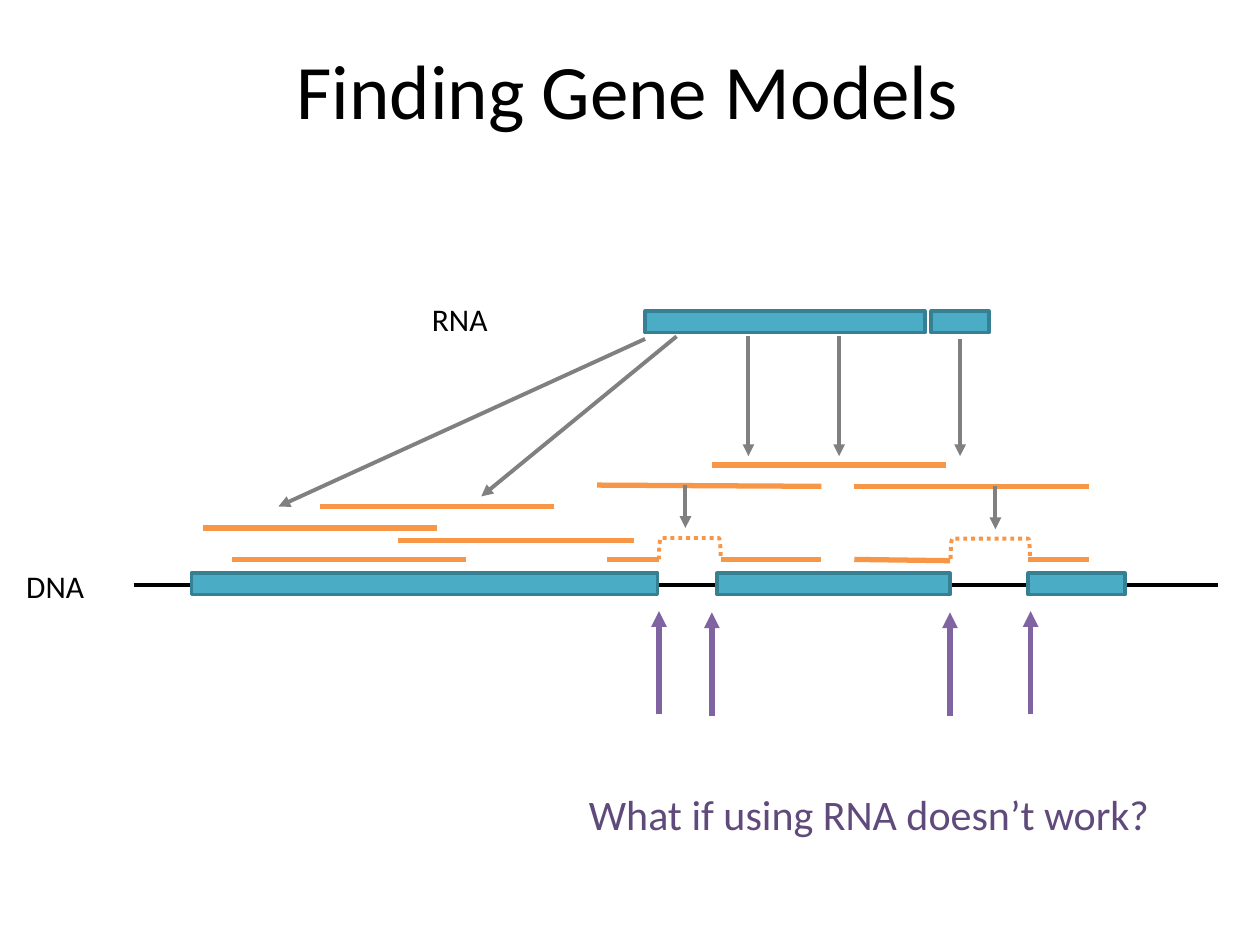
from pptx import Presentation
from pptx.dml.color import RGBColor
from pptx.enum.dml import MSO_LINE as Dash
from pptx.enum.shapes import MSO_CONNECTOR as Link, MSO_SHAPE as Shape
from pptx.enum.text import MSO_ANCHOR as Anchor, PP_ALIGN as Align
from pptx.oxml.ns import qn
from pptx.util import Inches, Pt
from lxml.etree import SubElement as Sub

hue = RGBColor.from_string
BLACK, TEAL, EDGE = "000000", "4BACC6", "377F92"
ORANGE, GRAY, PURPLE, PLUM = "F79646", "808080", "8064A2", "604A7B"

deck = Presentation()
deck.slide_width, deck.slide_height = Inches(10), Inches(7.5)
slide = deck.slides.add_slide(deck.slide_layouts[5])
shapes = slide.shapes


def draw(x1, y1, x2, y2, color, width, arrow=False):
    line = shapes.add_connector(Link.STRAIGHT, *map(Inches, (x1, y1, x2, y2)))
    line.line.color.rgb = hue(color)
    line.line.width = Pt(width)
    if arrow:
        Sub(line.line._get_or_add_ln(), qn("a:tailEnd"), type="triangle")
    Sub(line._element.spPr, qn("a:effectLst"))


def write(box, text, size, color, align):
    frame = box.text_frame
    frame.word_wrap = True
    frame.text = text
    para = frame.paragraphs[0]
    para.alignment = align
    style = {"name": "Calibri", "size": Pt(size)}
    for key, value in style.items():
        setattr(para.runs[0].font, key, value)
    para.runs[0].font.color.rgb = hue(color)


# Title
title = shapes.title
place = {"left": 0.48, "top": 0.08, "width": 9, "height": 1.25}
for key, value in place.items():
    setattr(title, key, Inches(value))
write(title, "Finding Gene Models", 44, BLACK, Align.CENTER)
title.text_frame.vertical_anchor = Anchor.MIDDLE

# DNA strand, then exons on the DNA and the RNA
draw(1.06, 4.64, 9.67, 4.64, BLACK, 2.25)
exons = [(1.52, 4.55, 3.7), (5.69, 4.55, 1.85), (8.16, 4.55, 0.77),
         (5.12, 2.47, 2.22), (7.39, 2.47, 0.46)]
for left, top, wide in exons:
    exon = shapes.add_shape(Shape.RECTANGLE, *map(Inches, (left, top, wide, 0.17)))
    exon.shadow.inherit = False
    exon.fill.solid()
    exon.fill.fore_color.rgb = hue(TEAL)
    exon.line.color.rgb = hue(EDGE)
    exon.line.width = Pt(2)

# Reads: left, right, left height, right height
reads = [(1.61, 3.47, 4.19, 4.19), (2.54, 4.4, 4.02, 4.02),
         (3.16, 5.03, 4.29, 4.29), (1.84, 3.7, 4.44, 4.44),
         (4.82, 5.23, 4.44, 4.44), (5.72, 6.52, 4.44, 4.44),
         (6.78, 7.54, 4.44, 4.45), (8.16, 8.64, 4.44, 4.44),
         (5.65, 7.51, 3.69, 3.69), (4.74, 6.52, 3.85, 3.86),
         (6.78, 8.64, 3.86, 3.86)]
for left, right, start, end in reads:
    draw(left, start, right, end, ORANGE, 3)

# Dotted gaps between split reads
for left, top, wide, high in [(5.39, 4.11, 0.17, 0.49), (7.78, 4.04, 0.16, 0.63)]:
    gap = shapes.add_shape(Shape.RIGHT_BRACKET, *map(Inches, (left, top, wide, high)))
    gap.rotation = 270
    gap.shadow.inherit = False
    gap.fill.background()
    gap.line.color.rgb = hue(ORANGE)
    gap.line.width = Pt(2.25)
    gap.line.dash_style = Dash.ROUND_DOT

# Arrows from RNA to reads, and from reads to gaps
moves = [(5.12, 2.69, 2.21, 4.02), (5.37, 2.67, 3.82, 3.94),
         (5.94, 2.67, 5.94, 3.62), (6.66, 2.67, 6.66, 3.62),
         (7.62, 2.69, 7.62, 3.62), (5.44, 3.85, 5.44, 4.19),
         (7.9, 3.86, 7.9, 4.2)]
for ends in moves:
    draw(*ends, GRAY, 2.25, arrow=True)

# Arrows at the splice sites
for x, tip in [(5.23, 4.85), (5.65, 4.86), (7.54, 4.86), (8.18, 4.85)]:
    draw(x, tip + 0.82, x, tip, PURPLE, 3, arrow=True)

# Labels and closing question
notes = [("RNA", 3.33, 2.33, 1.5, 0.4, 18, BLACK, Align.LEFT),
         ("DNA", 0.11, 4.45, 1.5, 0.4, 18, BLACK, Align.LEFT),
         ("What if using RNA doesn’t work?", 1.4, 6.21, 7.82, 0.5, 24, PLUM, Align.RIGHT)]
for text, left, top, wide, high, size, color, align in notes:
    box = shapes.add_textbox(*map(Inches, (left, top, wide, high)))
    write(box, text, size, color, align)

deck.save("out.pptx")
